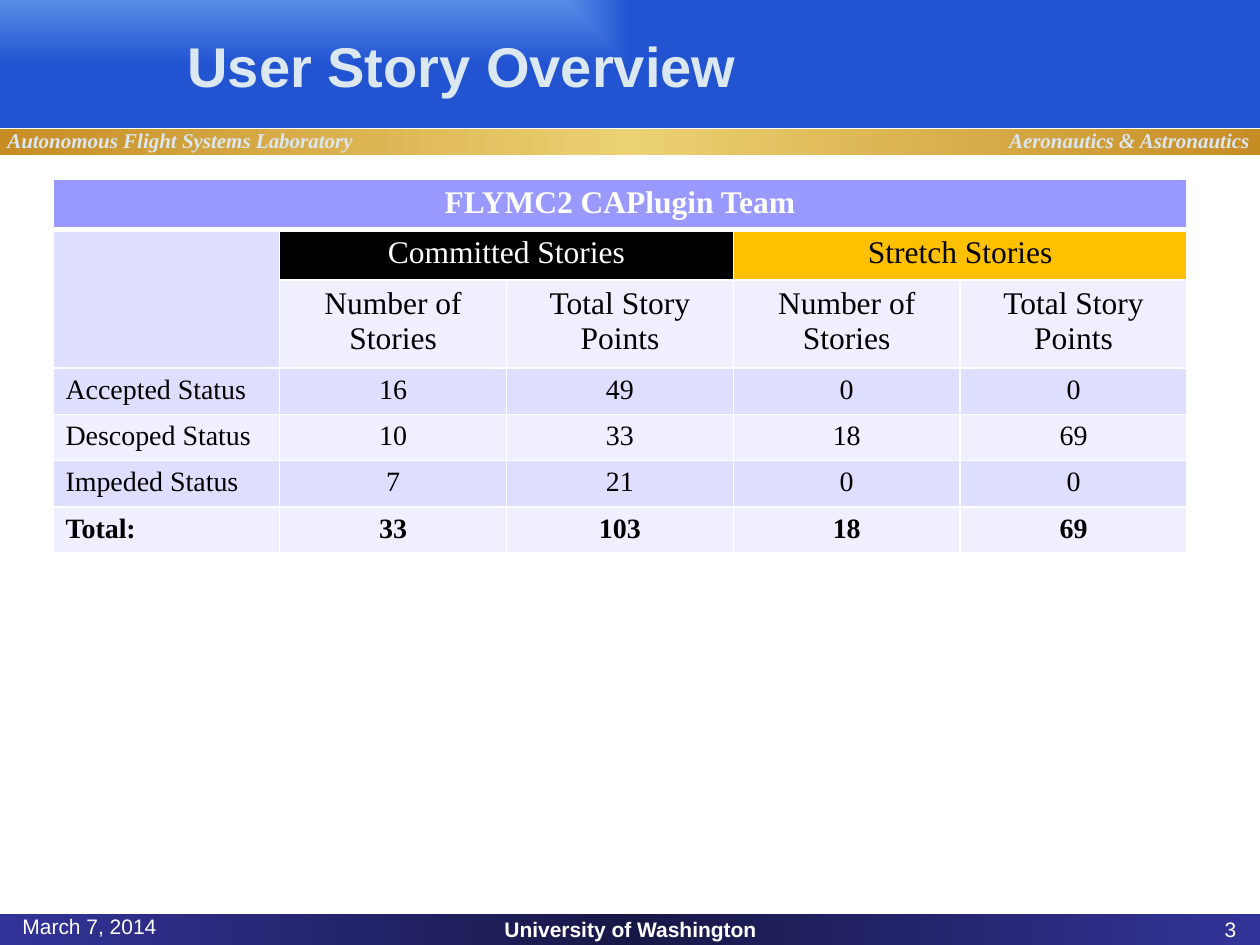
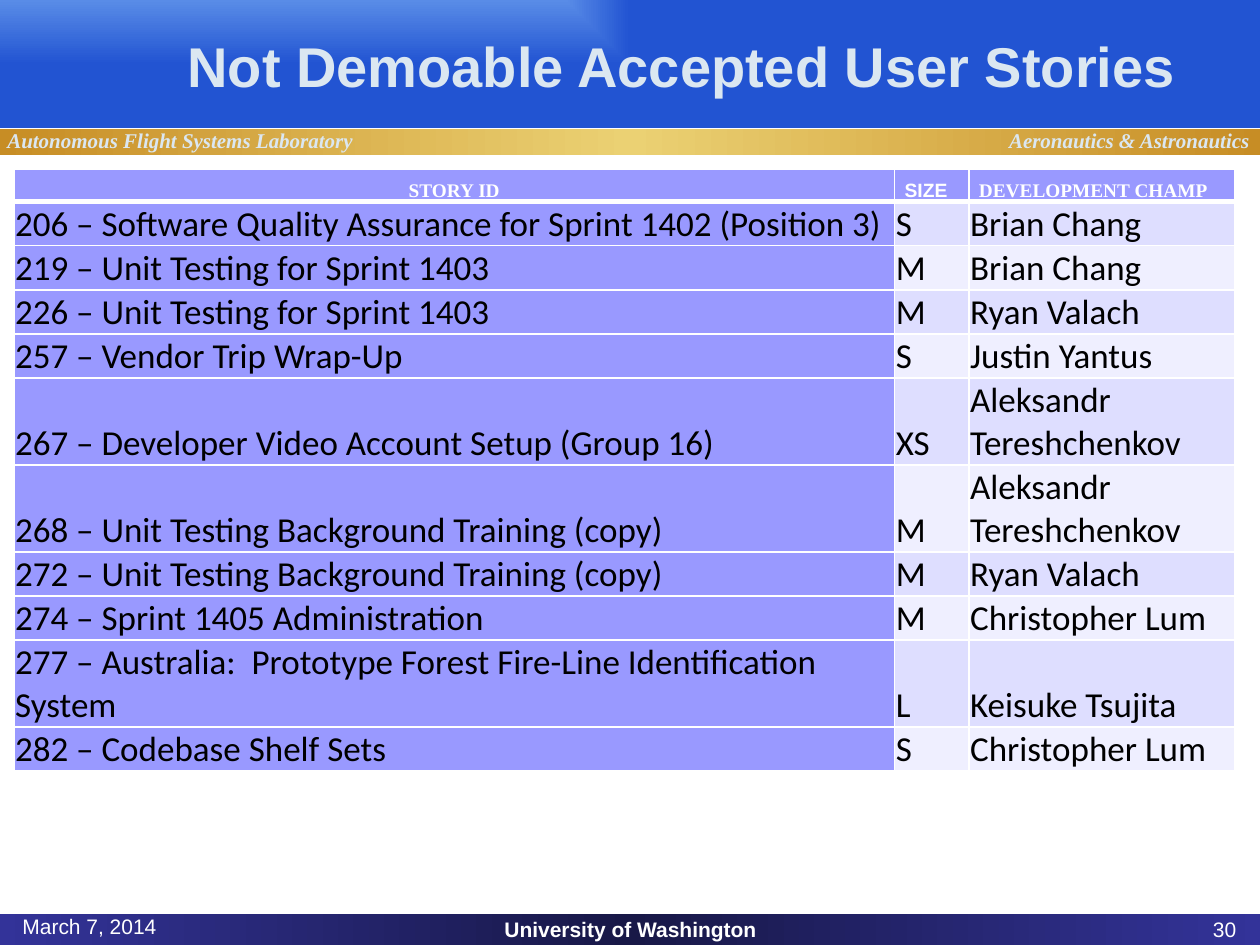
import pptx
import pptx.util
import pptx.dml.color
import pptx.enum.shapes
import pptx.enum.text
import pptx.oxml
import pptx.oxml.ns

# Content
TEAM = "FLYMC2 CAPlugin Team"
GROUPS = [("Committed Stories", "000000", "FFFFFF"),
          ("Stretch Stories", "FFC000", "000000")]
HEADS = ["Number of Stories", "Total Story Points"]
COUNTS = [
    ("Accepted Status", 16, 49, 0, 0),
    ("Descoped Status", 10, 33, 18, 69),
    ("Impeded Status", 7, 21, 0, 0),
    ("Total:", 33, 103, 18, 69),
]
FIELDS = [("STORY ID", "Times New Roman", "c"), ("SIZE", "Arial", "l"),
          ("DEVELOPMENT CHAMP", "Times New Roman", "l")]
STORIES = [
    ("206 – Software Quality Assurance for Sprint 1402 (Position 3)", "S", "Brian Chang"),
    ("219 – Unit Testing for Sprint 1403", "M", "Brian Chang"),
    ("226 – Unit Testing for Sprint 1403", "M", "Ryan Valach"),
    ("257 – Vendor Trip Wrap-Up", "S", "Justin Yantus"),
    ("267 – Developer Video Account Setup (Group 16)", "XS", "Aleksandr Tereshchenkov"),
    ("268 – Unit Testing Background Training (copy)", "M", "Aleksandr Tereshchenkov"),
    ("272 – Unit Testing Background Training (copy)", "M", "Ryan Valach"),
    ("274 – Sprint 1405 Administration", "M", "Christopher Lum"),
    ("277 – Australia:  Prototype Forest Fire-Line Identification System", "L",
     "Keisuke Tsujita"),
    ("282 – Codebase Shelf Sets", "S", "Christopher Lum"),
]

# Shared look
WIDE, HIGH = 10, 7.5
WHITE, PALE = "FFFFFF", "DBE7F1"
HEAD, ODD, EVEN = "9999FF", "DEDEFF", "EFEFFF"
BLUE = [(0, "598CE7"), (100, "2254D2")]
GOLD = [(0, "C78D25"), (50, "EBD173"), (100, "C78D25")]
NAVY = [(0, "333399"), (50, "181847"), (100, "333399")]
ALIGN = {"l": pptx.enum.text.PP_ALIGN.LEFT, "c": pptx.enum.text.PP_ALIGN.CENTER,
         "r": pptx.enum.text.PP_ALIGN.RIGHT}
ANCHOR = {"t": pptx.enum.text.MSO_ANCHOR.TOP, "m": pptx.enum.text.MSO_ANCHOR.MIDDLE,
          "b": pptx.enum.text.MSO_ANCHOR.BOTTOM}
INCH = pptx.util.Inches
NS = pptx.oxml.ns.nsdecls("a")


def paint(fill, color):
    fill.solid()
    fill.fore_color.rgb = pptx.dml.color.RGBColor.from_string(color)


def put(frame, text, size=18, font="Times New Roman", color="000000",
        bold=False, slant=False, align="l", lead=None):
    """Write one formatted paragraph into a text frame."""
    para = frame.paragraphs[0]
    para.alignment = ALIGN[align]
    if lead:
        para.line_spacing = lead
    run = para.add_run()
    run.text = str(text)
    face = run.font
    face.size, face.name, face.bold, face.italic = pptx.util.Pt(size), font, bold, slant
    paint(face.fill, color)


def label(slide, box, text, anchor="t", **form):
    frame = slide.shapes.add_textbox(*map(INCH, box)).text_frame
    frame.word_wrap = True
    frame.vertical_anchor = ANCHOR[anchor]
    put(frame, text, **form)


def band(slide, top, high, fade=None, corner=False):
    """Draw a full-width band, white unless it has gradient stops."""
    shape = slide.shapes.add_shape(pptx.enum.shapes.MSO_SHAPE.RECTANGLE,
                                   0, INCH(top), INCH(WIDE), INCH(high))
    shape.shadow.inherit = False
    shape.line.fill.background()
    paint(shape.fill, WHITE)
    if fade:
        stops = "".join(f'<a:gs pos="{pos * 1000}"><a:srgbClr val="{color}"/></a:gs>'
                        for pos, color in fade)
        way = ('<a:path path="rect"><a:fillToRect r="100000" b="100000"/></a:path>'
               if corner else '<a:lin ang="0" scaled="1"/>')
        props = shape._element.spPr
        old = props.find(pptx.oxml.ns.qn("a:solidFill"))
        props.replace(old, pptx.oxml.parse_xml(
            f'<a:gradFill {NS} rotWithShape="1"><a:gsLst>{stops}</a:gsLst>{way}</a:gradFill>'))


def start(deck, title, page):
    """Add a slide with the bands, title and footers."""
    slide = deck.slides.add_slide(deck.slide_layouts[6])
    band(slide, 7.25, 0.25, NAVY)
    band(slide, 1.23, 6.02)
    band(slide, 0, 1.02, BLUE, corner=True)
    band(slide, 1.02, 0.21, GOLD)
    side = dict(size=12, color=PALE, bold=True, slant=True)
    label(slide, (7.91, 0.96, 2.39, 0.3), "Aeronautics & Astronautics", **side)
    label(slide, (-0.04, 0.96, 3.74, 0.3), "Autonomous Flight Systems Laboratory", **side)
    label(slide, (1.39, 0.1, 8.61, 0.83), title, "m",
          size=32, font="Arial", color=PALE, bold=True)
    foot = dict(size=12, font="Arial", color=WHITE)
    label(slide, (0.08, 7.25, 2.33, 0.25), "March 7, 2014", "b", **foot)
    label(slide, (2.67, 7.25, 4.67, 0.25), "University of Washington", "m",
          bold=True, align="c", **foot)
    label(slide, (7.58, 7.25, 2.33, 0.25), page, "m", align="r", **foot)
    return slide


def grid(slide, left, top, cols, rows):
    """Add a table with white rules, a thick one under its first row."""
    table = slide.shapes.add_table(len(rows), len(cols), INCH(left), INCH(top),
                                   INCH(sum(cols)), INCH(sum(rows))).table
    table.first_row = table.horz_banding = False
    for col, wide in zip(table.columns, cols):
        col.width = INCH(wide)
    for num, (row, high) in enumerate(zip(table.rows, rows)):
        row.height = INCH(high)
        for cell in row.cells:
            props = cell._tc.get_or_add_tcPr()
            for edge in "LRTB":
                thick = (num, edge) in ((0, "B"), (1, "T"))
                props.append(pptx.oxml.parse_xml(
                    f'<a:ln{edge} {NS} w="{38100 if thick else 12700}"><a:solidFill>'
                    f'<a:srgbClr val="{WHITE}"/></a:solidFill></a:ln{edge}>'))
            paint(cell.fill, HEAD if num == 0 else ODD if num % 2 else EVEN)
    return table


def snug(cell, side, top):
    cell.margin_left = cell.margin_right = INCH(side)
    cell.margin_top, cell.margin_bottom = INCH(top), 0
    cell.vertical_anchor = ANCHOR["b"]


def overview(deck):
    slide = start(deck, "User Story Overview", 3)
    table = grid(slide, 0.42, 1.42, [1.8] * 5, [0.37, 0.38, 0.65] + [0.35] * len(COUNTS))
    table.cell(0, 0).merge(table.cell(0, 4))
    table.cell(1, 0).merge(table.cell(2, 0))
    put(table.cell(0, 0).text_frame, TEAM, color=WHITE, bold=True, align="c")
    for num, (name, back, ink) in enumerate(GROUPS):
        col = 1 + 2 * num
        cell = table.cell(1, col)
        cell.merge(table.cell(1, col + 1))
        paint(cell.fill, back)
        put(cell.text_frame, name, color=ink, align="c")
        for step, head in enumerate(HEADS):
            put(table.cell(2, col + step).text_frame, head, align="c")
    for row, line in enumerate(COUNTS, 3):
        for col, item in enumerate(line):
            put(table.cell(row, col).text_frame, item, size=16,
                bold=line is COUNTS[-1], align="c" if col else "l")


def stories(deck):
    slide = start(deck, "Not Demoable Accepted User Stories", 30)
    # Long titles or names take two lines
    highs = [0.69 if len(story) > 62 or len(champ) > 18 else 0.35
             for story, size, champ in STORIES]
    table = grid(slide, 0.11, 1.34, [6.99, 0.59, 2.11], [0.26] + highs)
    for col, (name, font, align) in enumerate(FIELDS):
        cell = table.cell(0, col)
        snug(cell, 0.08, 0)
        put(cell.text_frame, name, size=11, font=font, color=WHITE, bold=True,
            align=align, lead=1.15)
    for row, line in enumerate(STORIES, 1):
        paint(table.cell(row, 0).fill, HEAD)
        for col, item in enumerate(line):
            cell = table.cell(row, col)
            snug(cell, 0.01, 0.01)
            put(cell.text_frame, item, size=20, font="Calibri")


def main():
    deck = pptx.Presentation()
    deck.slide_width, deck.slide_height = INCH(WIDE), INCH(HIGH)
    overview(deck)
    stories(deck)
    deck.save("out.pptx")


if __name__ == "__main__":
    main()
